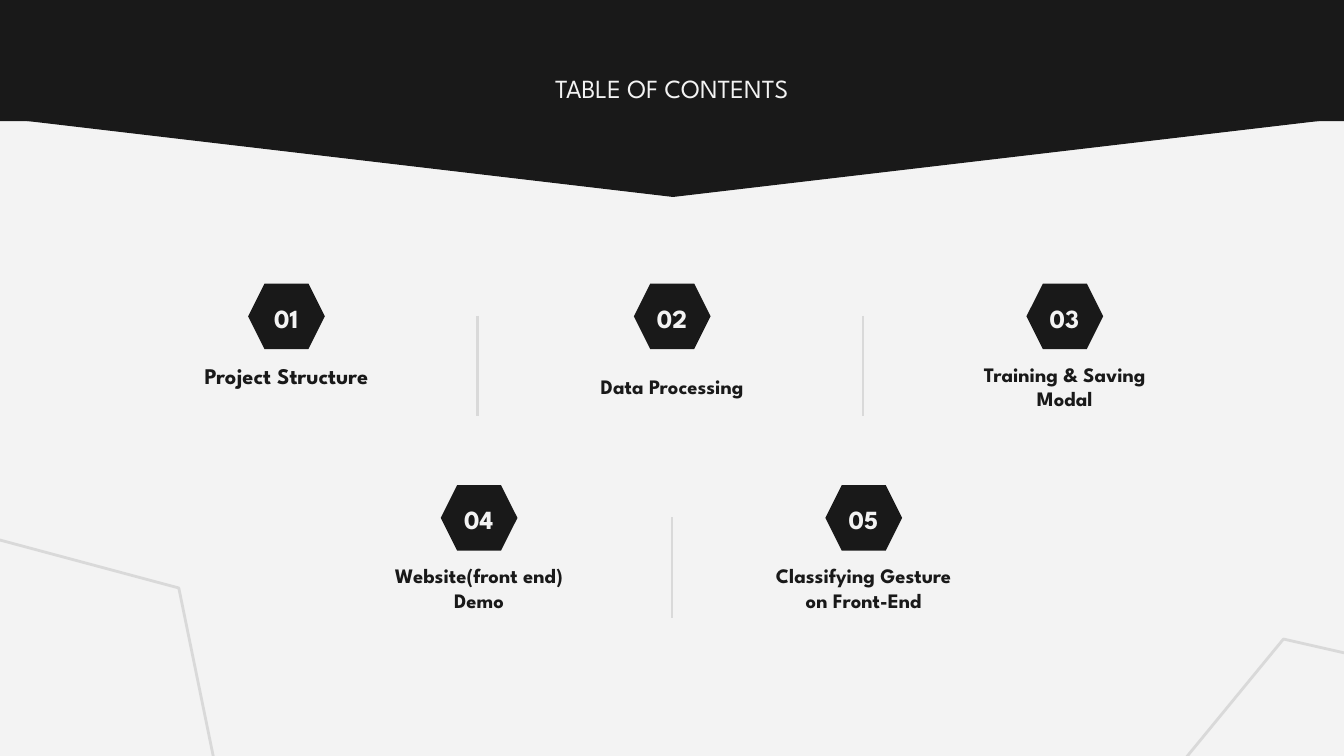
from lxml import etree
from pptx import Presentation
from pptx.dml.color import RGBColor
from pptx.enum.shapes import MSO_CONNECTOR as Connector, MSO_SHAPE as Preset
from pptx.enum.text import MSO_ANCHOR as Anchor, MSO_AUTO_SIZE as AutoSize, PP_ALIGN as Align
from pptx.oxml.ns import qn
from pptx.util import Cm, Pt

DARK = RGBColor(0x19, 0x19, 0x19)
LIGHT = RGBColor(0xF3, 0xF3, 0xF3)
GREY = RGBColor(0xD9, 0xD9, 0xD9)
FONT = "League Spartan"
SLIDE_WIDTH, SLIDE_HEIGHT = 25.4, 14.29
ROW_TOPS = (5.36, 9.17)

ITEMS = [
    ("01", "Project Structure", 5.41, 0, 12, Anchor.TOP),
    ("02", "Data Processing", 12.7, 0, 11, Anchor.MIDDLE),
    ("03", "Training & Saving Modal", 20.12, 0, 11, Anchor.MIDDLE),
    ("04", "Website(front end)\vDemo", 9.05, 1, 11, Anchor.MIDDLE),
    ("05", "Classifying Gesture\von Front-End", 16.32, 1, 11, Anchor.MIDDLE),
]
DIVIDERS = [(9.02, 0), (16.31, 0), (12.7, 1)]


def place(shape, left, top, width, height):
    shape.left, shape.top = Cm(left), Cm(top)
    shape.width, shape.height = Cm(width), Cm(height)


def write(shape, text, size, color, bold, anchor):
    frame = shape.text_frame
    frame.text = text
    frame.word_wrap = True
    frame.auto_size = AutoSize.NONE
    frame.vertical_anchor = anchor
    frame.margin_left = frame.margin_right = Cm(0.25)
    frame.margin_top = frame.margin_bottom = Cm(0.25)
    paragraph = frame.paragraphs[0]
    paragraph.alignment = Align.CENTER
    for run in paragraph.runs:
        font = run.font
        font.name, font.size, font.bold = FONT, Pt(size), bold
        font.color.rgb = color


def add_preset(slide, preset, left, top, width, height, fill=None, line=None, weight=1.5, rotation=0):
    shape = slide.shapes.add_shape(preset, Cm(left), Cm(top), Cm(width), Cm(height))
    shape.shadow.inherit = False
    shape.rotation = rotation
    if fill is None:
        shape.fill.background()
    else:
        shape.fill.solid()
        shape.fill.fore_color.rgb = fill
    if line is None:
        shape.line.fill.background()
    else:
        shape.line.color.rgb = line
        shape.line.width = Pt(weight)


def add_text(slide, text, left, top, width, height, size, color, anchor):
    box = slide.shapes.add_textbox(Cm(left), Cm(top), Cm(width), Cm(height))
    write(box, text, size, color, True, anchor)


def add_header(slide, left, top, width, height):
    band = 2.39
    add_preset(slide, Preset.ISOSCELES_TRIANGLE, left, top + band - 0.08, width, height - band + 0.08,
               DARK, DARK, 0.75, 180)
    add_preset(slide, Preset.RECTANGLE, left, top, width, band, DARK)
    title = slide.shapes.title
    place(title, 8.56, 1.12, 8.28, 1.9)
    write(title, "TABLE OF CONTENTS", 14, LIGHT, False, Anchor.TOP)
    slide.shapes._spTree.append(title._element)


def add_item(slide, number, label, center, top, size, anchor):
    add_preset(slide, Preset.HEXAGON, center - 0.72, top, 1.45, 1.24, DARK)
    add_text(slide, number, center - 1.04, top + 0.23, 2.08, 0.84, 14, LIGHT, Anchor.MIDDLE)
    label_top = top + (1.24 if anchor == Anchor.TOP else 1.14)
    add_text(slide, label, center - 2.22, label_top, 4.45, 1.6, size, DARK, anchor)


def add_divider(slide, x, top, length):
    line = slide.shapes.add_connector(Connector.STRAIGHT, Cm(x), Cm(top), Cm(x), Cm(top + length))
    line.line.color.rgb = GREY
    line.line.width = Pt(1.5)
    etree.SubElement(line._element.spPr, qn("a:effectLst"))


def add_corner_hexagon(slide, left, top, rotation):
    add_preset(slide, Preset.HEXAGON, left, top, 8.2, 6.43, line=GREY, rotation=rotation)


def main():
    presentation = Presentation()
    presentation.slide_width, presentation.slide_height = Cm(SLIDE_WIDTH), Cm(SLIDE_HEIGHT)
    slide = presentation.slides.add_slide(presentation.slide_layouts[5])
    slide.background.fill.solid()
    slide.background.fill.fore_color.rgb = LIGHT

    add_header(slide, -0.03, -0.1, 25.5, 3.81)
    for number, label, center, row, size, anchor in ITEMS:
        add_item(slide, number, label, center, ROW_TOPS[row], size, anchor)
    for x, row in DIVIDERS:
        add_divider(slide, x, ROW_TOPS[row] + 0.61, 1.9)
    add_corner_hexagon(slide, -3.96, 10.36, 15)
    add_corner_hexagon(slide, 21.06, 12.83, 309.4)

    presentation.save("out.pptx")


if __name__ == "__main__":
    main()
